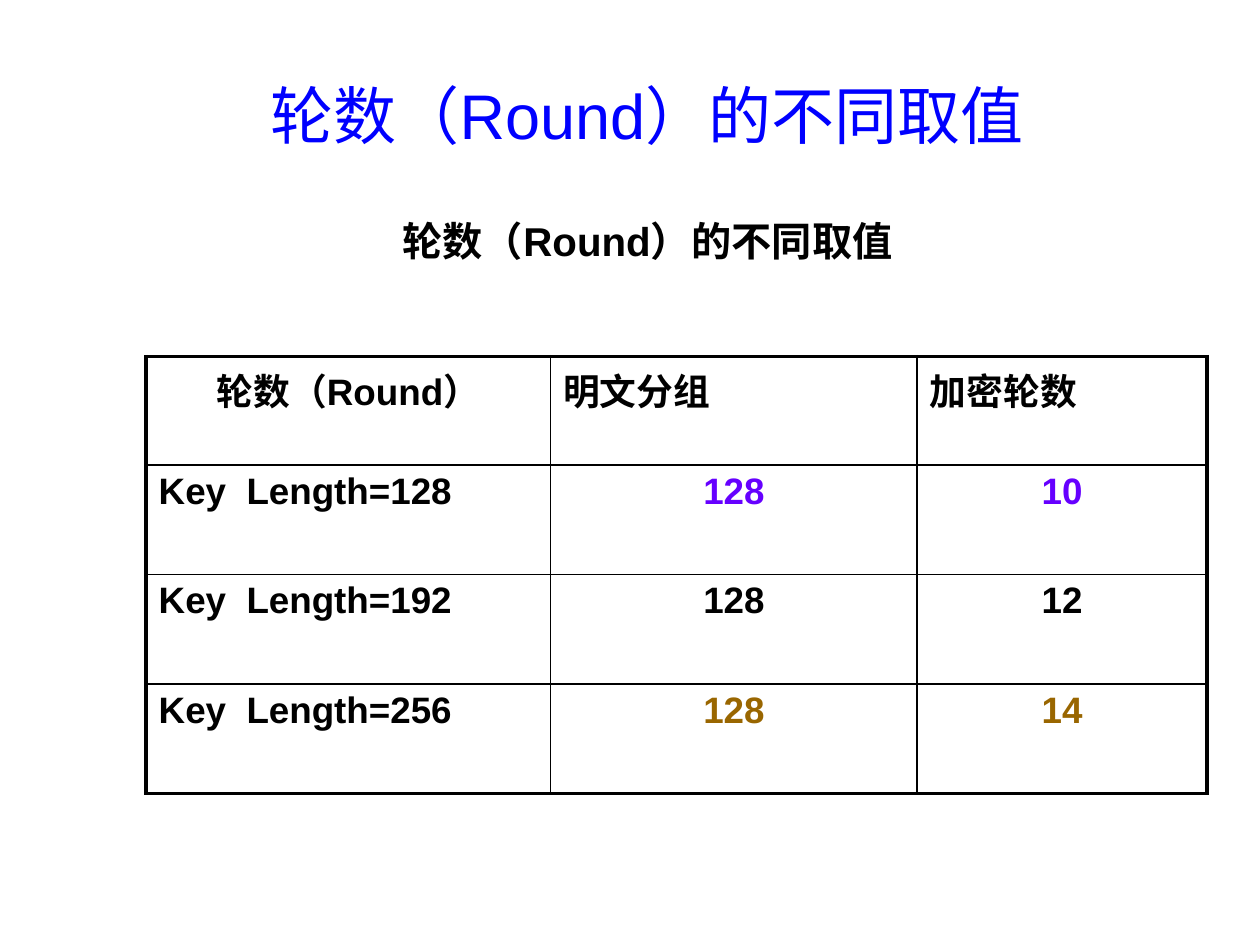
from lxml.etree import SubElement
from pptx import Presentation
from pptx.dml.color import RGBColor
from pptx.enum.text import MSO_ANCHOR, PP_ALIGN
from pptx.oxml.ns import qn
from pptx.util import Inches, Pt

BLACK = "000000"
HEADING = "轮数（Round）的不同取值"


def format_text(para, size, color, bold=True, align=PP_ALIGN.CENTER):
    para.alignment = align
    for span in para.runs:
        span.font.name = "Arial"
        span.font.size = Pt(size)
        span.font.bold = bold
        span.font.color.rgb = RGBColor.from_string(color)


def add_border(cell, side, width):
    line = SubElement(cell._tc.get_or_add_tcPr(), qn(f"a:ln{side}"), w=str(Pt(width)))
    fill = SubElement(line, qn("a:solidFill"))
    SubElement(fill, qn("a:srgbClr"), val=BLACK)


deck = Presentation()
deck.slide_width = Inches(10)
deck.slide_height = Inches(7.5)
page = deck.slides.add_slide(deck.slide_layouts[5])

# Title
title = page.shapes.title
title.left, title.top = Inches(1.93), Inches(0.57)
title.width, title.height = Inches(6.41), Inches(0.67)
title.text_frame.text = HEADING
title.text_frame.vertical_anchor = MSO_ANCHOR.MIDDLE
format_text(title.text_frame.paragraphs[0], 36, "0000FF", bold=False)

# Table caption
caption = page.shapes.add_textbox(Inches(2.5), Inches(1.67), Inches(5.28), Inches(0.48))
caption.text_frame.word_wrap = True
caption.text_frame.text = HEADING
format_text(caption.text_frame.paragraphs[0], 23, BLACK)

# Table of rounds per key length
rows = [
    ("轮数（Round）", "明文分组", "加密轮数"),
    ("Key  Length=128", "128", "10"),
    ("Key  Length=192", "128", "12"),
    ("Key  Length=256", "128", "14"),
]
value_colors = [BLACK, "6600FF", BLACK, "996600"]
column_widths = [3.21, 2.91, 2.3]
row_heights = [0.86, 0.87, 0.87, 0.87]
last_row, last_column = len(rows) - 1, len(column_widths) - 1

frame = page.shapes.add_table(len(rows), len(column_widths), Inches(1.16), Inches(2.83),
                              Inches(sum(column_widths)), Inches(sum(row_heights)))
table = frame.table
table.first_row = False
table.horz_banding = False
for column, width in zip(table.columns, column_widths):
    column.width = Inches(width)
for row, height in zip(table.rows, row_heights):
    row.height = Inches(height)

for r, texts in enumerate(rows):
    for c, text in enumerate(texts):
        cell = table.cell(r, c)
        cell.text_frame.text = text
        para = cell.text_frame.paragraphs[0]

        # Only the first heading and the values are centred
        centred = (r == 0) == (c == 0)
        format_text(para, 21, value_colors[r] if c else BLACK,
                    align=PP_ALIGN.CENTER if centred else PP_ALIGN.LEFT)
        space_before = SubElement(para._p.get_or_add_pPr(), qn("a:spcBef"))
        SubElement(space_before, qn("a:spcPct"), val="20000")

        # Thick outer frame, thin inner lines
        outer_sides = {"L": c == 0, "R": c == last_column, "T": r == 0, "B": r == last_row}
        for side, outer in outer_sides.items():
            add_border(cell, side, 2.25 if outer else 1)
        cell.fill.background()

deck.save("out.pptx")
